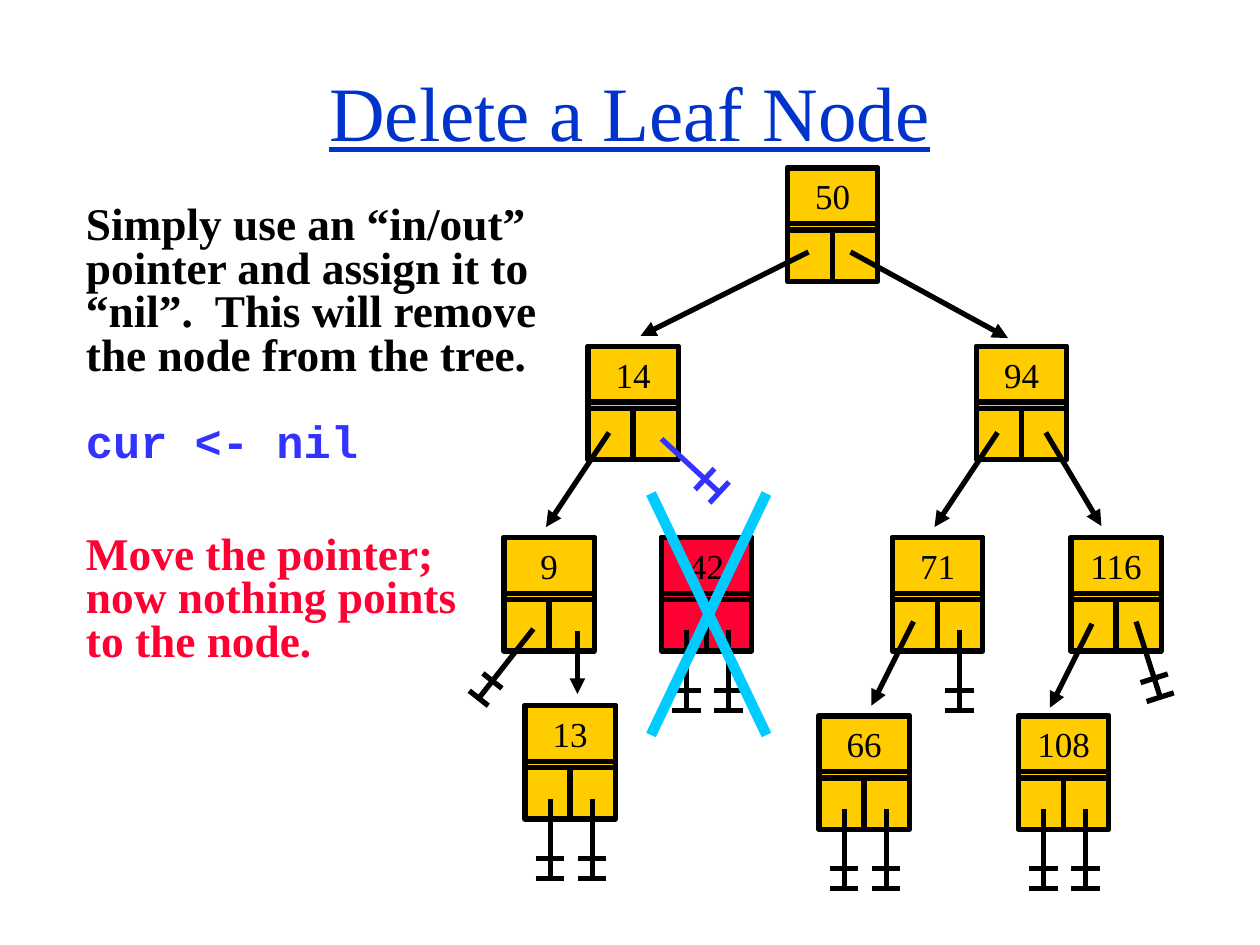
import pptx
import pptx.util
import pptx.dml.color
import pptx.enum.shapes
import pptx.enum.text
import lxml.etree
import math

Pt = pptx.util.Pt
Kind = pptx.enum.shapes.MSO_SHAPE
Align = pptx.enum.text.PP_ALIGN
Anchor = pptx.enum.text.MSO_ANCHOR
NS = "{http://schemas.openxmlformats.org/drawingml/2006/main}"
SERIF, MONO = "Times New Roman", "Courier New"
BLACK, GOLD, RED = "000000", "FFCC00", "FF0033"
BLUE, CYAN, WHITE = "3333FF", "00CCFF", "FFFFFF"
COLS, ROWS = 120, 90


def tint(code):
    return pptx.dml.color.RGBColor.from_string(code)


class Board:
    def __init__(self, deck):
        self.slide = deck.slides.add_slide(deck.slide_layouts[6])
        self.col = deck.slide_width / COLS
        self.row = deck.slide_height / ROWS
        self.width = 3

    def x(self, cols):
        return round(cols * self.col)

    def y(self, rows):
        return round(rows * self.row)

    def runs(self, para, text, size, color, font=SERIF, bold=False, under=False):
        for i, part in enumerate(text.split("\n")):
            if i:
                para.add_line_break()
            run = para.add_run()
            run.text = part
            run.font.name = font
            run.font.size = Pt(size)
            run.font.bold = bold
            run.font.underline = under
            run.font.color.rgb = tint(color)

    def text(self, left, top, wide, high, anchor):
        box = self.slide.shapes.add_textbox(
            self.x(left), self.y(top), self.x(wide), self.y(high))
        box.text_frame.word_wrap = True
        box.text_frame.vertical_anchor = anchor
        return box

    def rect(self, shapes, left, top, wide, high, fill):
        box = shapes.add_shape(
            Kind.RECTANGLE, self.x(left), self.y(top), self.x(wide), self.y(high))
        box.shadow.inherit = False
        box.fill.solid()
        box.fill.fore_color.rgb = tint(fill)
        box.line.color.rgb = tint(BLACK)
        box.line.width = Pt(self.width)
        return box

    def node(self, label, left, top, fill=GOLD):
        shapes = self.slide.shapes.add_group_shape().shapes
        self.rect(shapes, left, top, 8.6, 5.9, fill)
        for side in range(2):
            self.rect(shapes, left + 4.3 * side, top + 5.9, 4.3, 4.9, fill)
        frame = self.rect(shapes, left, top, 8.6, 5.3, fill).text_frame
        frame.word_wrap = True
        frame.vertical_anchor = Anchor.MIDDLE
        para = frame.paragraphs[0]
        para.alignment = Align.CENTER
        self.runs(para, label, 20, BLACK)

    def line(self, start, end, color=BLACK, width=None, shapes=None):
        shapes = shapes or self.slide.shapes
        link = shapes.add_connector(
            pptx.enum.shapes.MSO_CONNECTOR.STRAIGHT,
            self.x(start[0]), self.y(start[1]), self.x(end[0]), self.y(end[1]))
        link.line.color.rgb = tint(color)
        link.line.width = Pt(width or self.width)
        lxml.etree.SubElement(link.element.spPr, NS + "effectLst")
        return link

    def arrow(self, start, end):
        link = self.line(start, end)
        stroke = link.element.spPr.find(NS + "ln")
        lxml.etree.SubElement(stroke, NS + "tailEnd", type="triangle")

    def nil(self, start, end, color=BLACK, half=1.36):
        shapes = self.slide.shapes.add_group_shape().shapes
        self.line(start, end, color, shapes=shapes)
        dx, dy = end[0] - start[0], end[1] - start[1]
        size = math.hypot(dx, dy)
        ox, oy = half * dy / size, -half * dx / size
        for share in (0.75, 1):
            px, py = start[0] + share * dx, start[1] + share * dy
            self.line((px - ox, py - oy), (px + ox, py + oy), color, shapes=shapes)


def main():
    deck = pptx.Presentation()
    deck.slide_width = pptx.util.Inches(10)
    deck.slide_height = pptx.util.Inches(7.5)
    board = Board(deck)

    head = board.text(9, 6, 102, 9, Anchor.MIDDLE).text_frame.paragraphs[0]
    head.alignment = Align.CENTER
    board.runs(head, "Delete a Leaf Node", 44, "0033CC", under=True)

    body = board.text(7, 19, 46, 54, Anchor.TOP)
    body.fill.solid()
    body.fill.fore_color.rgb = tint(WHITE)
    notes = [
        ("Simply use an “in/out” pointer and assign it to “nil”.  "
         "This will remove the node from the tree.", "010000", SERIF, 0),
        ("cur <- nil", BLUE, MONO, 25),
        ("Move the pointer;\nnow nothing points\nto the node.", RED, SERIF, 39),
    ]
    for i, (text, color, font, gap) in enumerate(notes):
        frame = body.text_frame
        para = frame.add_paragraph() if i else frame.paragraphs[0]
        para.line_spacing = 0.8
        para.space_before = Pt(gap)
        board.runs(para, text, 25.9, color, font, bold=True)

    tree = {
        "14": (56, 33), "50": (75, 16), "94": (93, 33),
        "9": (48, 51.2), "71": (85, 51.2), "116": (102, 51.2),
        "108": (97, 68.2), "66": (78, 68.2), "13": (50, 67.2),
        "42": (63, 51.2),
    }
    for label, (left, top) in tree.items():
        board.node(label, left, top, RED if label == "42" else GOLD)

    for start, end in [
        ((77, 24), (61, 32)), ((81, 24), (96, 32.2)),
        ((58, 41.2), (52, 50.2)), ((95, 41.2), (89, 50.2)),
        ((99.6, 41.2), (104.9, 50.1)), ((55, 60.1), (55, 66.1)),
        ((87, 59.2), (83, 67.2)), ((104, 59.4), (100, 67.4)),
    ]:
        board.arrow(start, end)

    left, right = 2.4, 6.4
    for label, sides in {
        "13": (left, right), "42": (left, right), "66": (left, right),
        "108": (left, right), "71": (right,),
    }.items():
        for side in sides:
            x, y = tree[label][0] + side, tree[label][1] + 8.85
            board.nil((x, y), (x, y + 7.6))
    board.nil((108.2, 59.2), (110.5, 66.4))
    board.nil((50.8, 59.9), (45.6, 66.5), half=1.15)
    board.nil((63, 41.8), (68.5, 46.9), BLUE)

    board.line((73, 47), (62, 70), CYAN, 6)
    board.line((62, 47), (73, 70), CYAN, 6)
    deck.save("out.pptx")


if __name__ == "__main__":
    main()
